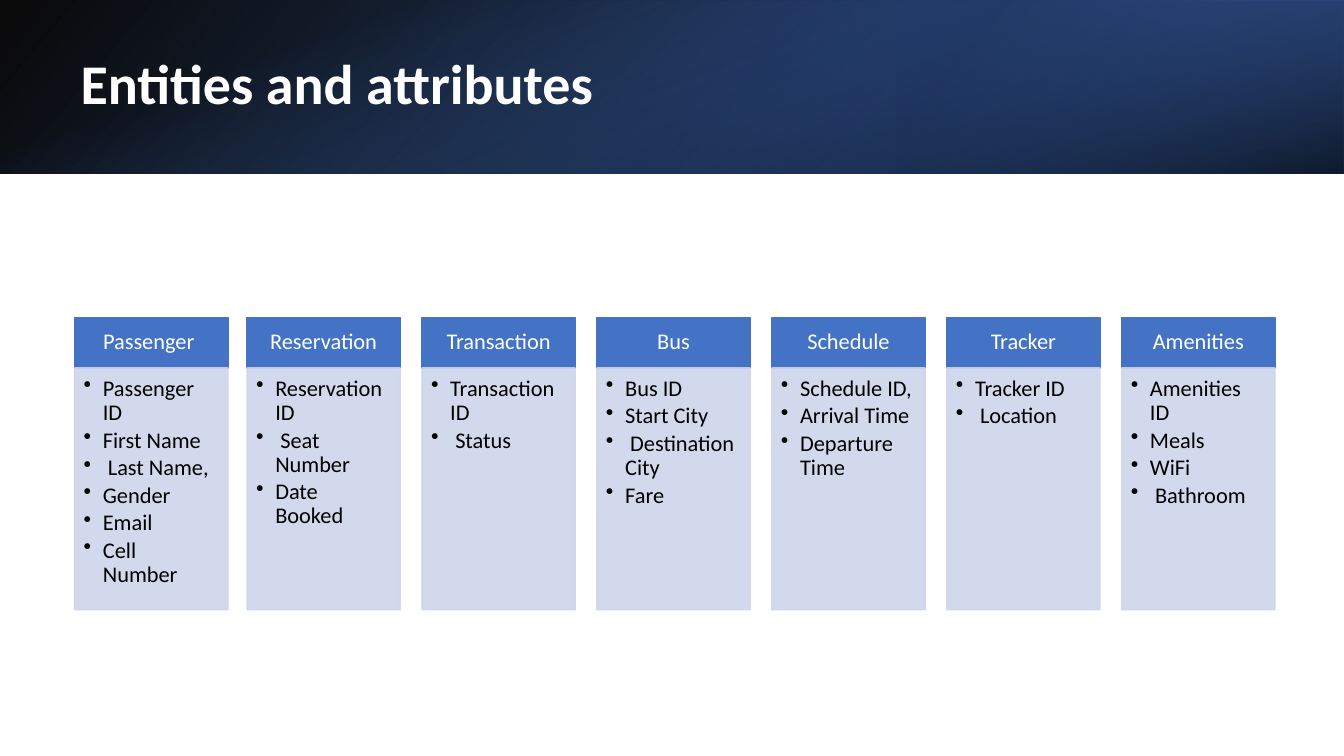
from lxml.etree import SubElement as Sub
from pptx import Presentation
from pptx.dml.color import RGBColor
from pptx.enum.shapes import MSO_SHAPE as Kind
from pptx.enum.text import MSO_ANCHOR as Anchor, PP_ALIGN as Align
from pptx.oxml.ns import qn
from pptx.util import Inches, Pt


def paint(fmt, color):
    fmt.solid()
    fmt.fore_color.rgb = RGBColor.from_string(color)


def block(left, top, width, height):
    box = slide.shapes.add_shape(
        Kind.RECTANGLE, Inches(left), Inches(top), Inches(width), Inches(height))
    box.shadow.inherit = False
    return box


deck = Presentation()
deck.slide_width, deck.slide_height = Inches(13.33), Inches(7.5)
slide = deck.slides.add_slide(deck.slide_layouts[6])

layers = [
    ((0, 0, 13.33, 1.72), 0, True, 140, [(0, "000000", 96), (100, "2F5597", 100)]),
    ((8.89, 0, 4.44, 1.72), 180, True, 320, [(19, "203864", 68), (100, "4472C4", 79)]),
    ((5.8, -5.8, 1.72, 13.33), 90, False, 340, [(23, "4472C4", 0), (99, "000000", 74)]),
]
for place, turn, flip, angle, stops in layers:
    band = block(*place)
    band.rotation = turn
    band.line.fill.background()
    props = band.element.spPr
    if flip:
        props.xfrm.set("flipH", "1")
    band.fill.gradient()
    grad = props.find(qn("a:gradFill"))
    grad.clear()
    grad.set("rotWithShape", "1")
    steps = Sub(grad, qn("a:gsLst"))
    for pos, color, alpha in stops:
        step = Sub(steps, qn("a:gs"), pos=str(pos * 1000))
        tint = Sub(step, qn("a:srgbClr"), val=color)
        Sub(tint, qn("a:alpha"), val=str(alpha * 1000))
    Sub(grad, qn("a:lin"), ang=str(angle * 60000), scaled="0")

title = slide.shapes.add_textbox(Inches(0.7), Inches(0.38), Inches(10.98), Inches(0.96))
frame = title.text_frame
frame.word_wrap = True
frame.vertical_anchor = Anchor.MIDDLE
para = frame.paragraphs[0]
para.text = "Entities and attributes"
para.line_spacing = 0.9
para.font.name, para.font.size, para.font.bold = "Calibri", Pt(40), True
paint(para.font.fill, "FFFFFF")

tables = {
    "Passenger ": ["Passenger ID", "First Name", " Last Name,", "Gender", "Email", "Cell Number"],
    "Reservation": ["Reservation ID", " Seat Number", "Date Booked"],
    "Transaction": ["Transaction ID", " Status"],
    "Bus": ["Bus ID", "Start City", " Destination City", "Fare"],
    "Schedule": ["Schedule ID,", "Arrival Time", "Departure Time"],
    "Tracker": ["Tracker ID", " Location"],
    "Amenities": ["Amenities ID", "Meals", "WiFi", " Bathroom"],
}
for col, (name, fields) in enumerate(tables.items()):
    left = 2.45 + (col - 1) * 1.735 if col else 0.74
    parts = [
        (3.15, 0.5, "4472C4", "FFFFFF", [name], (0.12, 0.07, 0.12, 0.07)),
        (3.65, 2.4, "CFD5EA", "000000", fields, (0.09, 0.09, 0.12, 0.14)),
    ]
    for top, height, color, ink, lines, pads in parts:
        head = lines is not fields
        box = block(left, top, 1.52, height)
        paint(box.fill, color)
        paint(box.line.fill, color)
        box.line.width = Pt(1)
        if not head:
            for tint in box.element.spPr.iter(qn("a:srgbClr")):
                Sub(tint, qn("a:alpha"), val="90000")
        frame = box.text_frame
        frame.word_wrap = True
        frame.vertical_anchor = Anchor.MIDDLE if head else Anchor.TOP
        (frame.margin_left, frame.margin_top,
         frame.margin_right, frame.margin_bottom) = map(Inches, pads)
        for row, line in enumerate(lines):
            para = frame.add_paragraph() if row else frame.paragraphs[0]
            para.text = line
            para.alignment = Align.CENTER if head else Align.LEFT
            para.line_spacing = 0.9
            para.space_after = Pt(0 if head else 2.4)
            para.font.name, para.font.size = "Calibri", Pt(16)
            paint(para.font.fill, ink)
            if not head:
                para.level = 1
                props = para._p.get_or_add_pPr()
                props.set("marL", str(Inches(0.19)))
                props.set("indent", str(-Inches(0.19)))
                mark = props.makeelement(qn("a:buChar"), {"char": "•"})
                props.find(qn("a:defRPr")).addprevious(mark)

deck.save("out.pptx")
